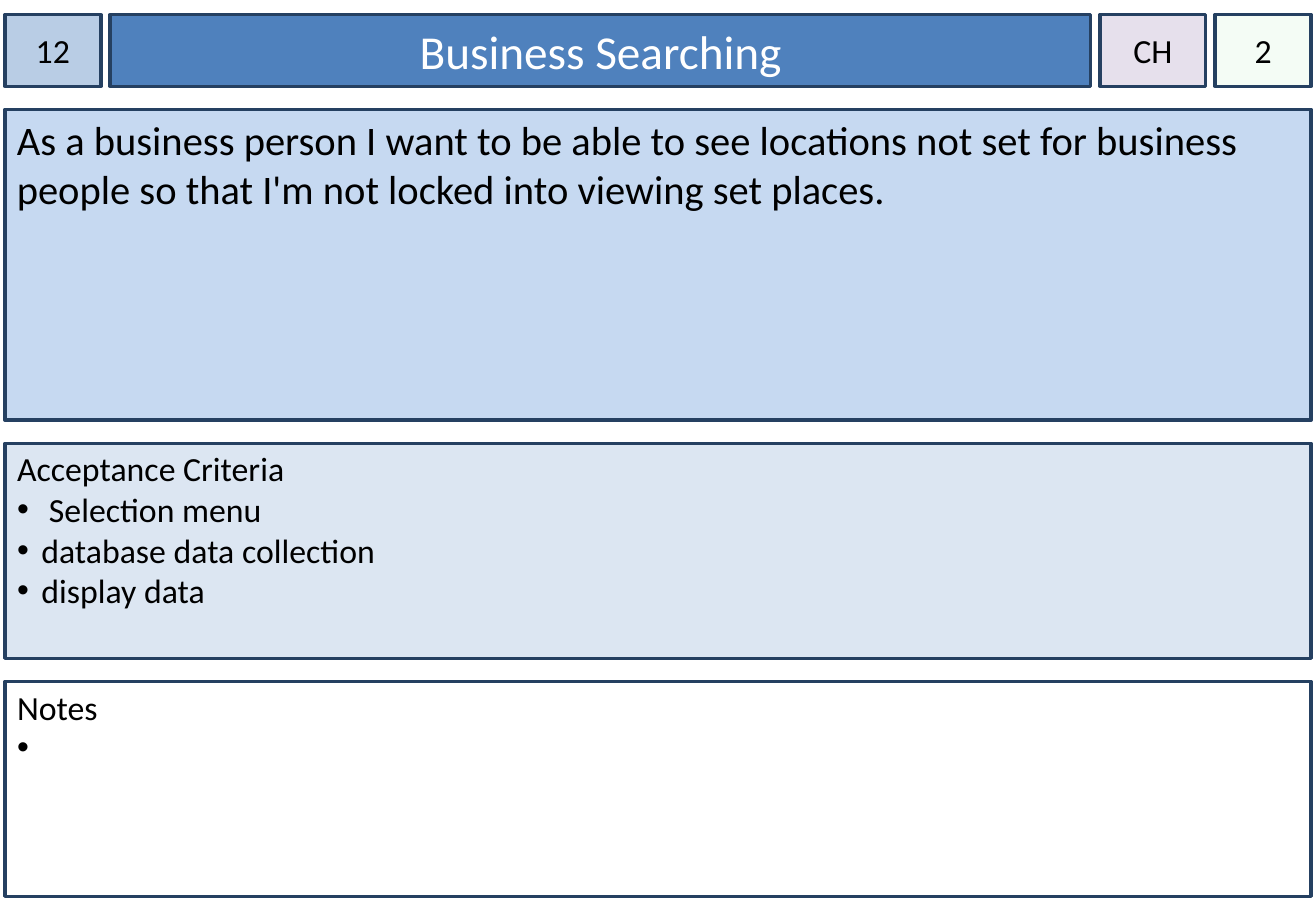
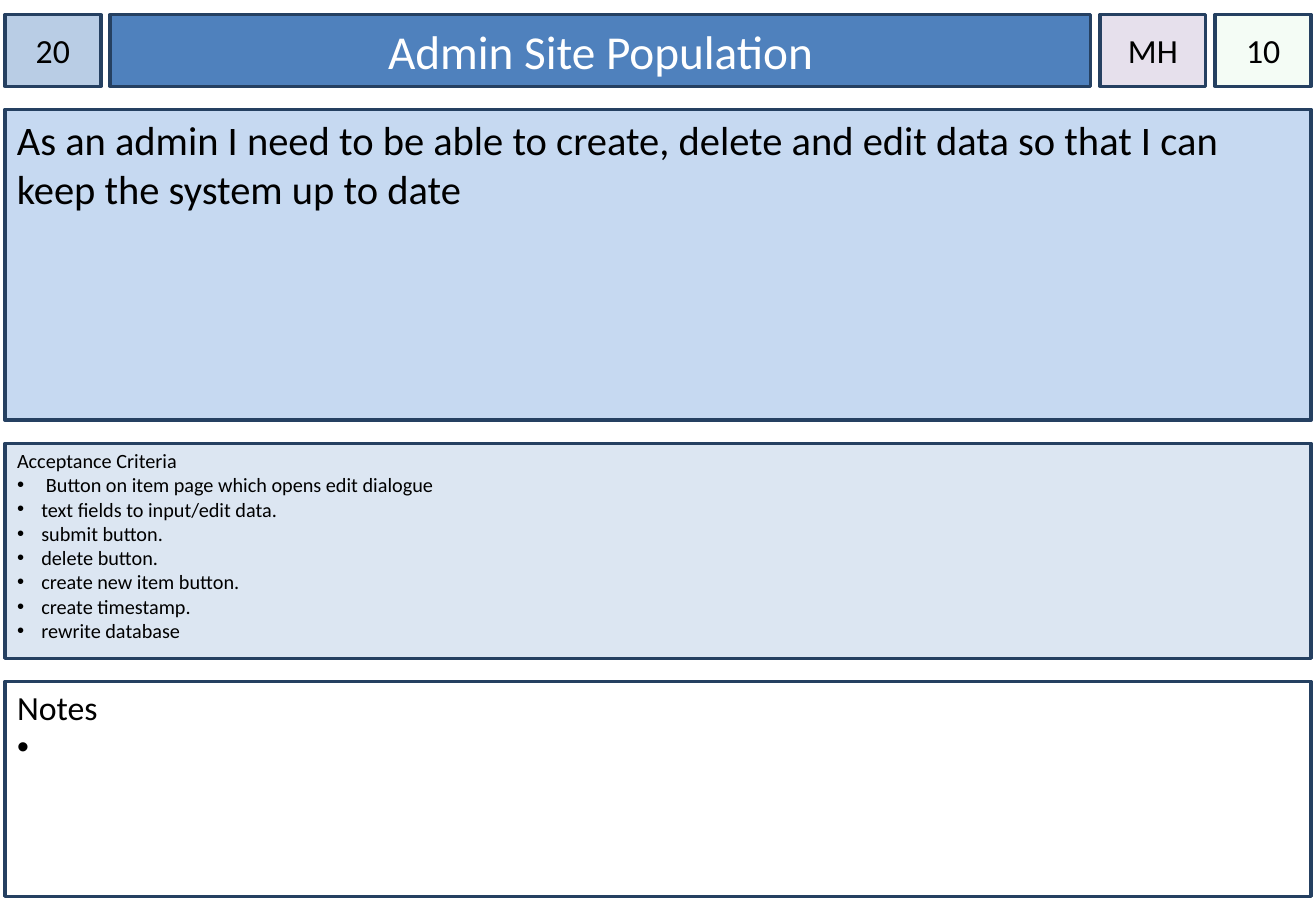
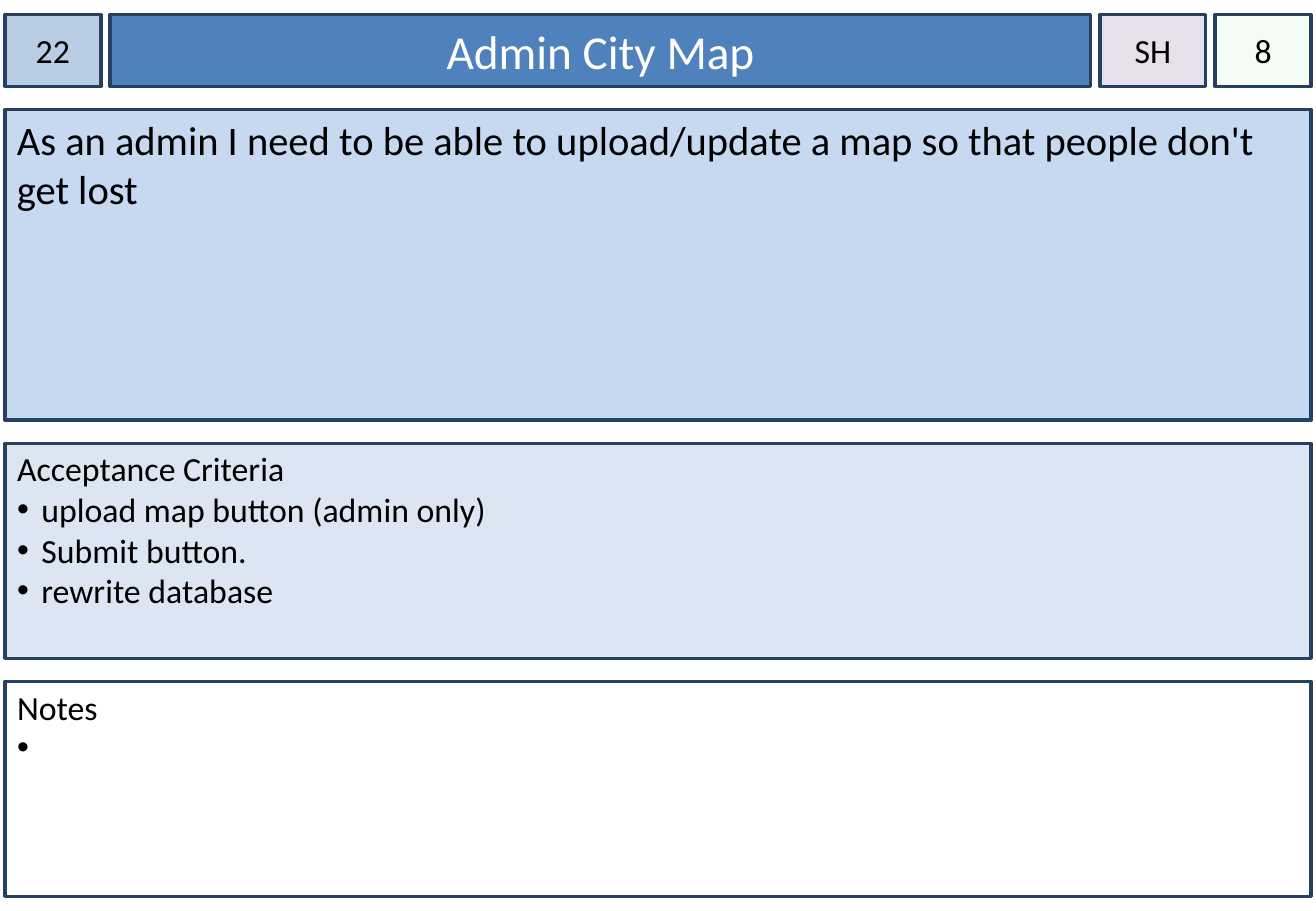
from dataclasses import dataclass

from lxml.etree import SubElement
from pptx import Presentation
from pptx.dml.color import RGBColor
from pptx.enum.shapes import MSO_SHAPE
from pptx.enum.text import MSO_ANCHOR, MSO_AUTO_SIZE, PP_ALIGN
from pptx.oxml.ns import qn
from pptx.util import Inches, Pt


@dataclass(frozen=True)
class Theme:
    font: str = "Calibri"
    ink: str = "000000"
    light: str = "FFFFFF"
    border: str = "254061"
    number: str = "B9CDE5"
    title: str = "4F81BD"
    owner: str = "E6E0EC"
    points: str = "CCF0CD"
    points_alpha: int = 20
    story: str = "C6D9F1"
    criteria: str = "DCE6F2"
    notes: str = "FFFFFF"
    border_pt: float = 2
    title_pt: int = 28
    story_pt: int = 24
    text_pt: int = 20
    small_pt: int = 12


T = Theme()
PAGE = (10.83, 7.5)
LEFT, TOP, WIDTH = 0.04, 0.12, 10.75
ROW_GAP = 0.19
ROW_HEIGHTS = (0.59, 2.56, 1.77, 1.77)
HEADER_WIDTHS = (0.79, 8.07, 0.87, 0.79)
INDENT = 0.2
TAG_FRAME = dict(margin_left=0, margin_right=0)
LIST_FRAME = dict(margin_top=Inches(0.04), vertical_anchor=MSO_ANCHOR.TOP)

CARDS = [
    dict(number="12", title="Business Searching", owner="CH", points="2",
         story="As a business person I want to be able to see locations not set "
               "for business people so that I'm not locked into viewing set places.",
         criteria=[" Selection menu", "database data collection", "display data"]),
    dict(number="20", title="Admin Site Population", owner="MH", points="10",
         story="As an admin I need to be able to create, delete and edit data "
               "so that I can keep the system up to date",
         criteria=[" Button on item page which opens edit dialogue",
                   "text fields to input/edit data.", "submit button.",
                   "delete button.", "create new item button.",
                   "create timestamp.", "rewrite database"],
         criteria_pt=T.small_pt),
    dict(number="22", title="Admin City Map", owner="SH", points="8",
         story="As an admin I need to be able to upload/update a map so that "
               "people don't get lost",
         criteria=["upload map button (admin only)", "Submit button.",
                   "rewrite database"]),
]


def set_all(target, values):
    for name, value in values.items():
        setattr(target, name, value)


def spread(start, sizes, gap):
    for size in sizes:
        yield start, size
        start += size + gap


def add_box(s, box):
    return s.shapes.add_shape(MSO_SHAPE.RECTANGLE, *map(Inches, box))


def style_box(sp, box, fill, **frame):
    set_all(sp, dict(zip(("left", "top", "width", "height"), map(Inches, box))))
    sp.shadow.inherit = False
    sp.fill.solid()
    sp.fill.fore_color.rgb = RGBColor.from_string(fill)
    sp.line.color.rgb = RGBColor.from_string(T.border)
    sp.line.width = Pt(T.border_pt)
    defaults = dict(word_wrap=True, auto_size=MSO_AUTO_SIZE.NONE,
                    vertical_anchor=MSO_ANCHOR.MIDDLE)
    set_all(sp.text_frame, defaults | frame)


def write(p, text, size, color=T.ink, align=PP_ALIGN.LEFT):
    set_all(p, dict(alignment=align, space_before=Pt(0)))
    r = p.add_run()
    r.text = text
    set_all(r.font, dict(name=T.font, size=Pt(size)))
    r.font.color.rgb = RGBColor.from_string(color)


def set_bullet(p, bulleted):
    pPr = p._p.get_or_add_pPr()
    indent = Inches(INDENT) if bulleted else 0
    pPr.set("marL", str(indent))
    pPr.set("indent", str(-indent))
    if bulleted:
        SubElement(pPr, qn("a:buFont")).set("typeface", "Arial")
        SubElement(pPr, qn("a:buChar")).set("char", "•")
    else:
        SubElement(pPr, qn("a:buNone"))


def add_tag(s, box, text, fill, **frame):
    sp = add_box(s, box)
    style_box(sp, box, fill, **(TAG_FRAME | frame))
    write(sp.text_frame.paragraphs[0], text, T.text_pt, align=PP_ALIGN.CENTER)
    return sp


def add_header(s, box, card):
    x, y, w, h = box
    gap = (w - sum(HEADER_WIDTHS)) / (len(HEADER_WIDTHS) - 1)
    number, title, owner, points = [
        (left, y, width, h) for left, width in spread(x, HEADER_WIDTHS, gap)]
    add_tag(s, number, card["number"], T.number)
    sp = s.shapes.title
    style_box(sp, title, T.title)
    write(sp.text_frame.paragraphs[0], card["title"], T.title_pt, T.light,
          PP_ALIGN.CENTER)
    add_tag(s, owner, card["owner"], T.owner, word_wrap=False)
    sp = add_tag(s, points, card["points"], T.points)
    color = sp._element.spPr.find(qn("a:solidFill"))[0]
    SubElement(color, qn("a:alpha")).set("val", str(T.points_alpha * 1000))


def add_story(s, box, text):
    sp = add_box(s, box)
    style_box(sp, box, T.story, vertical_anchor=MSO_ANCHOR.TOP)
    write(sp.text_frame.paragraphs[0], text, T.story_pt)


def fill_list(sp, box, fill, heading, items, size=T.text_pt):
    style_box(sp, box, fill, **LIST_FRAME)
    tf = sp.text_frame
    for i, text in enumerate([heading, *items]):
        p = tf.add_paragraph() if i else tf.paragraphs[0]
        write(p, text, size)
        set_bullet(p, i > 0)


def add_card(prs, card):
    s = prs.slides.add_slide(prs.slide_layouts.get_by_name("Two Content"))
    header, story, criteria, notes = [
        (LEFT, top, WIDTH, height)
        for top, height in spread(TOP, ROW_HEIGHTS, ROW_GAP)]
    add_header(s, header, card)
    add_story(s, story, card["story"])
    fill_list(s.placeholders[1], criteria, T.criteria, "Acceptance Criteria",
              card["criteria"], card.get("criteria_pt", T.text_pt))
    fill_list(s.placeholders[2], notes, T.notes, "Notes", [" "])


def main():
    prs = Presentation()
    set_all(prs, dict(zip(("slide_width", "slide_height"), map(Inches, PAGE))))
    for card in CARDS:
        add_card(prs, card)
    prs.save("out.pptx")


if __name__ == "__main__":
    main()
